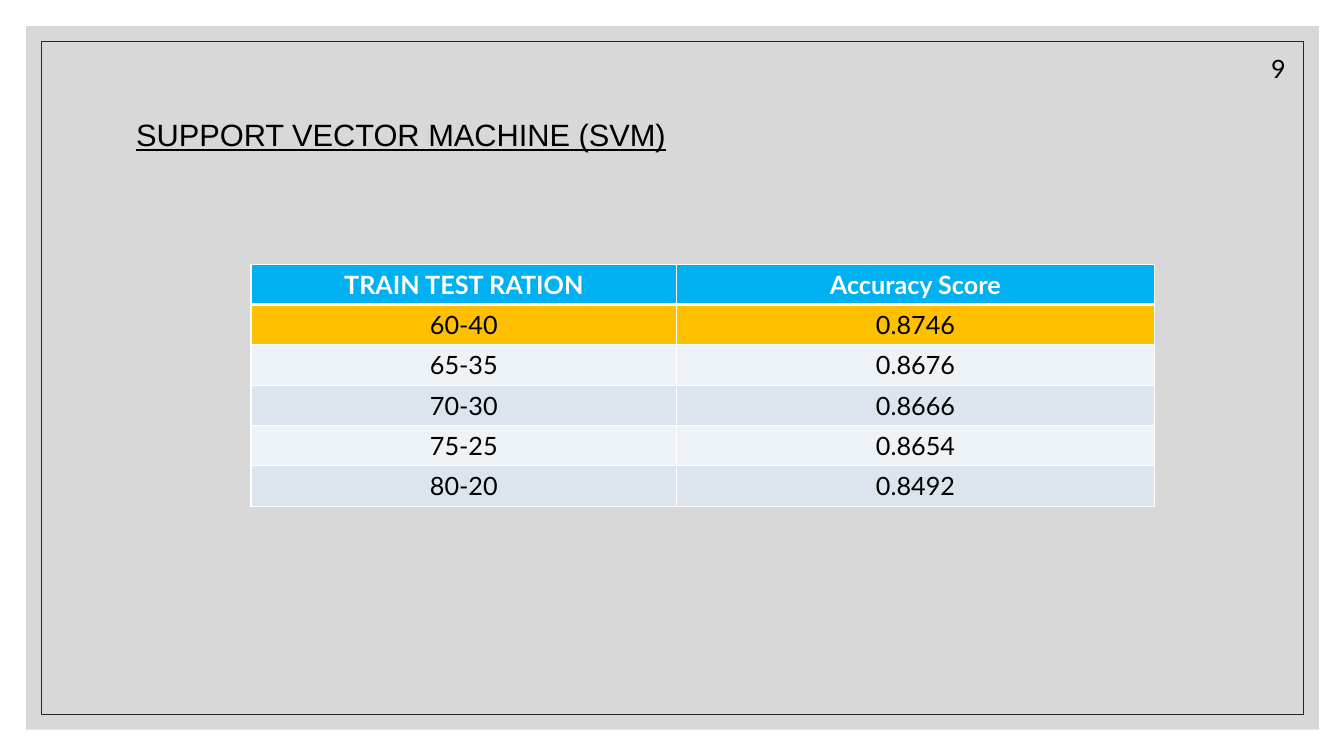
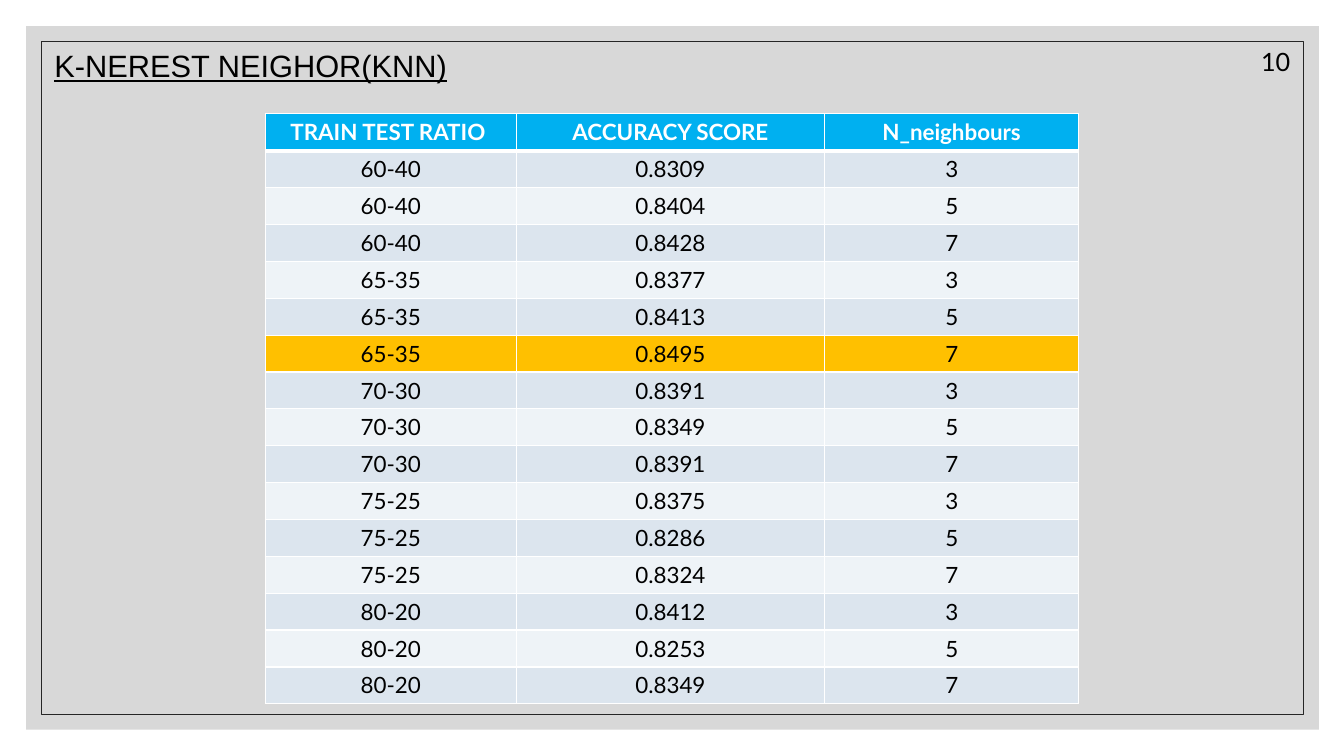
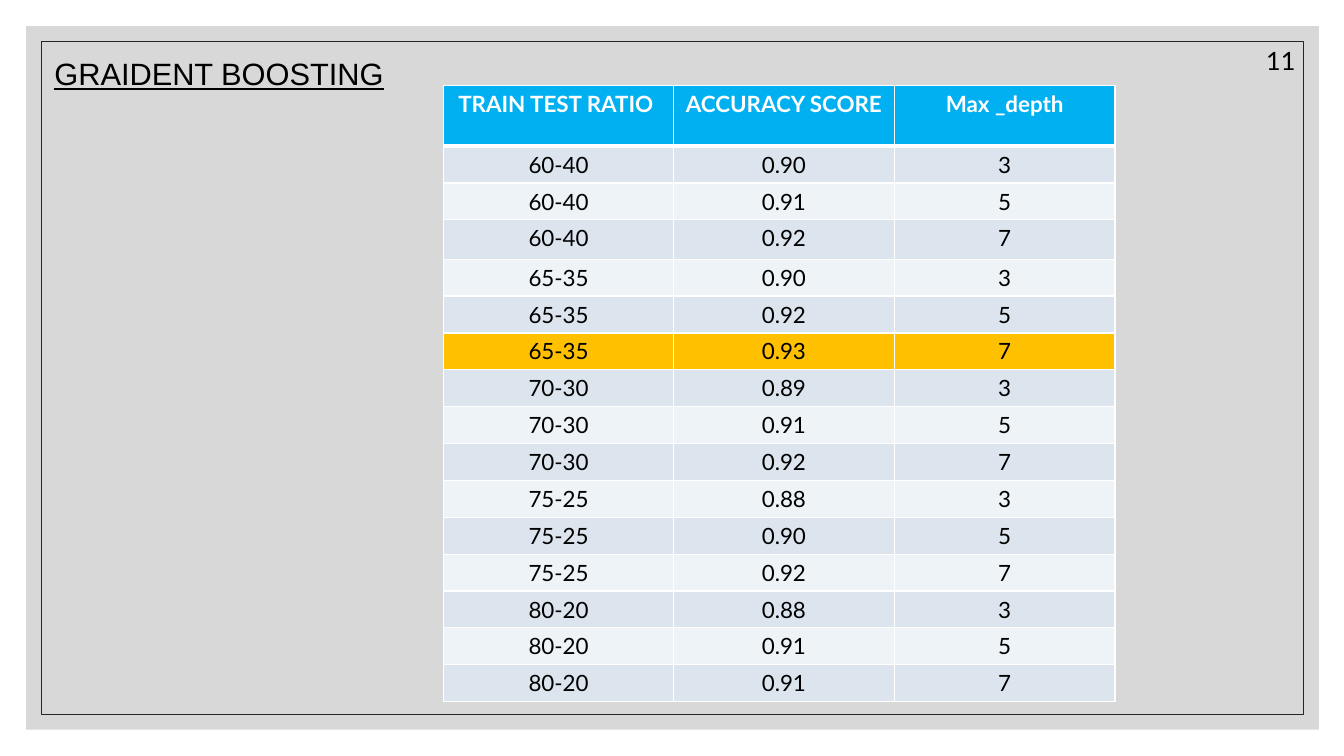
"""Build three slides of accuracy tables, one for each classifier."""
from dataclasses import dataclass
from itertools import product

from pptx import Presentation
from pptx.dml.color import RGBColor
from pptx.enum.shapes import MSO_SHAPE
from pptx.enum.text import MSO_ANCHOR, MSO_AUTO_SIZE, PP_ALIGN
from pptx.oxml import parse_xml
from pptx.oxml.ns import nsdecls
from pptx.util import Inches, Pt


@dataclass(frozen=True)
class Theme:
    title_font: str = "Arial"
    body_font: str = "Lato"
    title_size: int = 22
    number_size: int = 18
    text: str = "000000"
    white: str = "FFFFFF"
    panel: str = "BFBFBF"
    panel_alpha: int = 60
    frame: str = "262626"
    header: str = "00B0F0"
    best: str = "FFC000"
    bands: tuple = ("EEF3F7", "DCE5EE")
    grid_width: int = 1
    header_rule: int = 3


class Deck:
    def __init__(self, theme):
        self.theme = theme
        self.presentation = Presentation()
        self.presentation.slide_width = Inches(13.33)
        self.presentation.slide_height = Inches(7.5)
        self.layout = self.presentation.slide_layouts[5]
        self.slide = None

    def add_slide(self):
        self.slide = self.presentation.slides.add_slide(self.layout)
        if len(self.presentation.slides) == 1:
            self.add_frame()

    def add_frame(self):
        panel = self.add_rectangle(0.26, 0.26, 12.82, 6.98)
        panel.fill.solid()
        panel.fill.fore_color.rgb = RGBColor.from_string(self.theme.panel)
        color = panel.element.spPr.find(".//{*}srgbClr")
        color.append(parse_xml(
            f'<a:alpha {nsdecls("a")} val="{self.theme.panel_alpha * 1000}"/>'))
        panel.line.fill.background()

        frame = self.add_rectangle(0.41, 0.41, 12.52, 6.68)
        frame.fill.background()
        frame.line.color.rgb = RGBColor.from_string(self.theme.frame)
        frame.line.width = Pt(0.5)

        for number, shape in enumerate((panel, frame), start=20):
            shape.element.nvSpPr.cNvPr.set("id", str(number))
            self.layout.shapes.element.append(shape.element)

    def add_rectangle(self, left, top, width, height):
        shape = self.slide.shapes.add_shape(
            MSO_SHAPE.RECTANGLE, Inches(left), Inches(top), Inches(width), Inches(height))
        shape.shadow.inherit = False
        return shape

    def format_text(self, paragraph, font, size, color, bold=False, underline=False):
        for run in paragraph.runs:
            run.font.name = font
            run.font.size = Pt(size)
            run.font.bold = bold
            run.font.underline = underline
            run.font.color.rgb = RGBColor.from_string(color)

    def add_title(self, text, left, top, height):
        title = self.slide.shapes.title
        title.left, title.top = Inches(left), Inches(top)
        title.width, title.height = Inches(10.83), Inches(height)
        title.text_frame.text = text
        title.text_frame.auto_size = MSO_AUTO_SIZE.NONE
        title.text_frame.vertical_anchor = MSO_ANCHOR.MIDDLE
        paragraph = title.text_frame.paragraphs[0]
        paragraph.alignment = PP_ALIGN.LEFT
        paragraph.line_spacing = 0.9
        self.format_text(paragraph, self.theme.title_font, self.theme.title_size,
                         self.theme.text, underline=True)

    def add_page_number(self, number, left, top):
        box = self.slide.shapes.add_textbox(
            Inches(left), Inches(top), Inches(0.56), Inches(0.4))
        box.text_frame.word_wrap = True
        box.text_frame.text = str(number)
        self.format_text(box.text_frame.paragraphs[0], self.theme.body_font,
                         self.theme.number_size, self.theme.text)

    def add_table(self, rows, left, top, column_widths, row_heights, size, best_row):
        table = self.slide.shapes.add_table(
            len(rows), len(column_widths), Inches(left), Inches(top),
            Inches(sum(column_widths)), Inches(sum(row_heights))).table
        for column, width in zip(table.columns, column_widths):
            column.width = Inches(width)
        for index, (row, height, values) in enumerate(zip(table.rows, row_heights, rows)):
            row.height = Inches(height)
            for cell, value in zip(row.cells, values):
                self.fill_cell(cell, value, index, size, best_row)

    def fill_cell(self, cell, value, index, size, best_row):
        theme = self.theme
        is_header = index == 0
        fill = theme.bands[index % 2]
        if is_header:
            fill = theme.header
        elif index == best_row:
            fill = theme.best
        self.add_borders(cell, index)
        cell.fill.solid()
        cell.fill.fore_color.rgb = RGBColor.from_string(fill)
        cell.text_frame.text = value
        paragraph = cell.text_frame.paragraphs[0]
        paragraph.alignment = PP_ALIGN.CENTER
        self.format_text(paragraph, theme.body_font, size,
                         theme.white if is_header else theme.text, bold=is_header)

    def add_borders(self, cell, index):
        theme = self.theme
        widths = dict.fromkeys(("lnL", "lnR", "lnT", "lnB"), theme.grid_width)
        if index == 0:
            widths["lnB"] = theme.header_rule
        elif index == 1:
            widths["lnT"] = theme.header_rule
        properties = cell._tc.get_or_add_tcPr()
        for side, width in widths.items():
            properties.append(parse_xml(
                f'<a:{side} {nsdecls("a")} w="{Pt(width)}"><a:solidFill>'
                f'<a:srgbClr val="{theme.white}"/></a:solidFill></a:{side}>'))

    def save(self):
        self.presentation.save("out.pptx")


RATIOS = ("60-40", "65-35", "70-30", "75-25", "80-20")
SETTINGS = ("3", "5", "7")


def score_rows(setting_name, scores):
    pairs = product(RATIOS, SETTINGS)
    header = ("TRAIN TEST RATIO ", "ACCURACY SCORE", setting_name)
    return [header] + [(ratio, score, setting)
                       for (ratio, setting), score in zip(pairs, scores.split())]


def main():
    deck = Deck(Theme())

    deck.add_slide()
    deck.add_title("SUPPORT VECTOR MACHINE (SVM)", 1.25, 0.6, 1.51)
    svm_scores = ("0.8746", "0.8676", "0.8666", "0.8654", "0.8492")
    svm_rows = [("TRAIN TEST RATION", "Accuracy Score"), *zip(RATIOS, svm_scores)]
    deck.add_table(svm_rows, 2.49, 2.62, (4.22, 4.74), [0.4] * 6, size=18, best_row=1)
    deck.add_page_number(9, 12.51, 0.48)

    deck.add_slide()
    deck.add_title("K-NEREST NEIGHOR(KNN)", 0.44, 0.2, 0.94)
    knn_rows = score_rows(
        "N_neighbours",
        "0.8309 0.8404 0.8428 0.8377 0.8413 0.8495 0.8391 0.8349 0.8391 "
        "0.8375 0.8286 0.8324 0.8412 0.8253 0.8349")
    deck.add_table(knn_rows, 2.63, 1.13, (2.49, 3.06, 2.52), [0.36] * 16,
                   size=16, best_row=6)
    deck.add_page_number(10, 12.41, 0.41)

    deck.add_slide()
    deck.add_title("GRAIDENT BOOSTING", 0.44, 0.4, 0.7)
    boosting_rows = score_rows(
        "Max _depth",
        "0.90 0.91 0.92 0.90 0.92 0.93 0.89 0.91 0.92 0.88 0.90 0.92 0.88 0.91 0.91")
    boosting_heights = [0.6] + [0.36] * 2 + [0.39] + [0.36] * 12
    deck.add_table(boosting_rows, 4.4, 0.85, (2.28, 2.19, 2.19), boosting_heights,
                   size=16, best_row=6)
    deck.add_page_number(11, 12.46, 0.4)

    deck.save()


if __name__ == "__main__":
    main()
